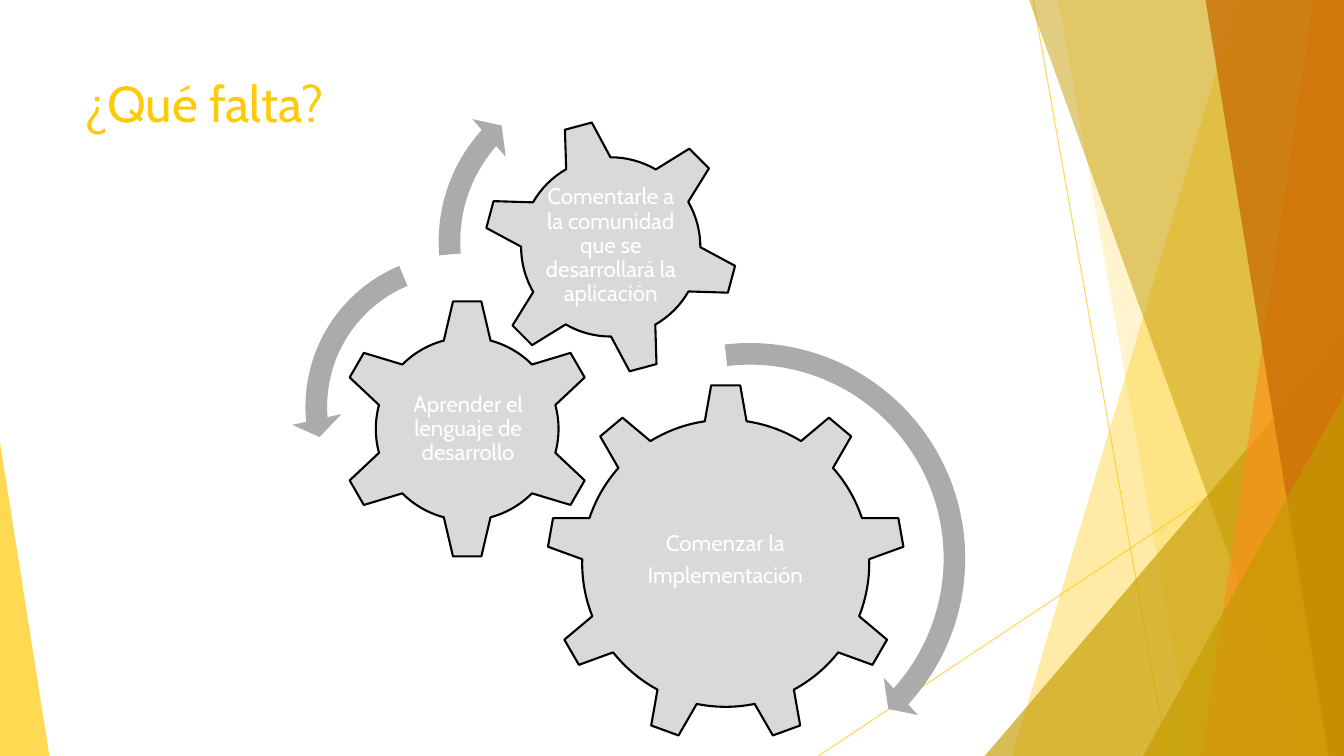
import pptx
import pptx.util
import pptx.dml.color
import pptx.enum.shapes
import pptx.enum.text
import pptx.oxml
import pptx.oxml.ns
from dataclasses import dataclass

Pt = pptx.util.Pt
SHAPE = pptx.enum.shapes.MSO_SHAPE
ANCHOR = pptx.enum.text.MSO_ANCHOR
ALIGN = pptx.enum.text.PP_ALIGN


@dataclass(frozen=True)
class Theme:
    gold: str = "FFCA08"
    olive: str = "C59B00"
    orange: str = "F8931D"
    rust: str = "CA6F06"
    gear: str = "D9D9D9"
    arrow: str = "ABABAB"
    outline: str = "000000"
    label: str = "FFFFFF"
    font: str = "Cabin"
    title_size: int = 36
    label_size: int = 16


@dataclass(frozen=True)
class Box:
    left: float
    top: float
    width: float
    height: float

    def points(self):
        return Pt(self.left), Pt(self.top), Pt(self.width), Pt(self.height)

    def square(self, x, y, size):
        return self.centred(x, y, size, size)

    def centred(self, x, y, width, height):
        return Box(self.left + x - width / 2, self.top + y - height / 2, width, height)


THEME = Theme()


def paint(color_format, color, opacity=100):
    color_format.rgb = pptx.dml.color.RGBColor.from_string(color)
    if opacity < 100:
        for node in color_format._xFill.iter(pptx.oxml.ns.qn("a:srgbClr")):
            alpha = pptx.oxml.parse_xml("<a:alpha %s/>" % pptx.oxml.ns.nsdecls("a"))
            alpha.set("val", str(opacity * 1000))
            node.append(alpha)


def style(shape, color, opacity=100, outline=None):
    shape.shadow.inherit = False
    shape.fill.solid()
    paint(shape.fill.fore_color, color, opacity)
    if outline:
        paint(shape.line.color, outline)
        shape.line.width = Pt(1.5)
    else:
        shape.line.fill.background()


def add_preset(slide, preset, box, color, opacity=100, outline=None, adjustments=()):
    shape = slide.shapes.add_shape(preset, *box.points())
    for index, value in enumerate(adjustments):
        shape.adjustments[index] = value
    style(shape, color, opacity, outline)
    return shape


def write(frame, text, size, color, align=ALIGN.LEFT, anchor=ANCHOR.TOP,
          inset=None, line_spacing=None, space_after=None):
    frame.word_wrap = True
    frame.auto_size = pptx.enum.text.MSO_AUTO_SIZE.NONE
    frame.vertical_anchor = anchor
    if inset is not None:
        frame.margin_left = frame.margin_right = Pt(inset)
        frame.margin_top = frame.margin_bottom = Pt(inset)
    frame.text = text
    for paragraph in frame.paragraphs:
        paragraph.alignment = align
        paragraph.line_spacing = line_spacing
        if space_after is not None:
            paragraph.space_after = Pt(space_after)
        for run in paragraph.runs:
            run.font.name = THEME.font
            run.font.size = Pt(size)
            run.font.color.rgb = pptx.dml.color.RGBColor.from_string(color)


def add_ray(slide, box, x1, y1, x2, y2):
    ray = slide.shapes.add_connector(
        pptx.enum.shapes.MSO_CONNECTOR.STRAIGHT,
        Pt(box.left + x1), Pt(box.top + y1), Pt(box.left + x2), Pt(box.top + y2))
    ray.line.width = Pt(0.75)
    ray.line.fill.solid()
    paint(ray.line.fill.fore_color, THEME.gold, 70)
    ray._element.spPr.append(
        pptx.oxml.parse_xml("<a:effectLst %s/>" % pptx.oxml.ns.nsdecls("a")))


def add_facet(slide, box, top_x, bottom_x, color, opacity):
    right, bottom = box.left + box.width, box.top + box.height
    builder = slide.shapes.build_freeform(Pt(box.left + top_x), Pt(box.top))
    builder.add_line_segments([
        (Pt(right), Pt(box.top)), (Pt(right), Pt(bottom)),
        (Pt(box.left + bottom_x), Pt(bottom))])
    style(builder.convert_to_shape(), color, opacity)


def add_corner(slide, box, x, y):
    corner = Box(box.left + x, box.top + y, box.width - x, box.height - y)
    add_preset(slide, SHAPE.ISOSCELES_TRIANGLE, corner, THEME.olive, 66, adjustments=[1])


def add_facets(slide, box):
    add_ray(slide, box, 158, 0, 253.8, 540)
    add_ray(slide, box, 380, 290, 4.6, 540)
    add_facet(slide, box, 304.2, 142.9, THEME.gold, 36)
    add_facet(slide, box, 176, 271.8, THEME.gold, 20)
    add_corner(slide, box, 123.4, 239.8)
    add_facet(slide, box, 155.1, 349.5, THEME.olive, 50)
    add_facet(slide, box, 358.2, 278.2, THEME.orange, 70)
    add_facet(slide, box, 281.1, 369, THEME.rust, 80)
    add_corner(slide, box, 236.5, 283)


def add_left_wedge(slide, box):
    add_preset(slide, SHAPE.ISOSCELES_TRIANGLE, box, THEME.gold, 70, adjustments=[0])


def add_title(slide, box):
    title = slide.shapes.title
    title.left, title.top, title.width, title.height = box.points()
    write(title.text_frame, "¿Qué falta?", THEME.title_size, THEME.gold)


def add_gear(slide, preset, gear_box, label_box, text, rotation=0):
    gear = add_preset(slide, preset, gear_box, THEME.gear, outline=THEME.outline)
    gear.rotation = rotation
    label = slide.shapes.add_textbox(*label_box.points())
    write(label.text_frame, text, THEME.label_size, THEME.label, align=ALIGN.CENTER,
          anchor=ANCHOR.MIDDLE, inset=1.5, line_spacing=0.9, space_after=5.6)


def add_gear_train(slide, box):
    add_gear(slide, SHAPE.GEAR_9, box.square(318.4, 362.4, 256.3),
             box.centred(318.1, 360, 153.4, 131.8), "Comenzar la\nImplementación")
    add_gear(slide, SHAPE.GEAR_6, box.square(133.7, 266.4, 186.5),
             box.square(134.4, 266.7, 92.5), "Aprender el lenguaje de desarrollo")
    add_gear(slide, SHAPE.GEAR_6, box.square(236.3, 136.4, 182.9),
             box.square(236.3, 135.7, 102.2),
             "Comentarle a la comunidad que se desarrollará la aplicación", rotation=345)
    turns = [
        (SHAPE.CIRCULAR_ARROW, (335.7, 358.9, 328.3), (0.047, 2.99, 25.462, 157.979, 0.055)),
        (SHAPE.LEFT_CIRCULAR_ARROW, (127.2, 250.5, 238.3), (0.065, 4.3, 104.891, 148.378, 0.075)),
        (SHAPE.CIRCULAR_ARROW, (231.6, 132.4, 257), (0.06, 3.941, 133.138, 105.082, 0.07)),
    ]
    for preset, place, adjustments in turns:
        add_preset(slide, preset, box.square(*place), THEME.arrow, adjustments=adjustments)


def main():
    deck = pptx.Presentation()
    deck.slide_width, deck.slide_height = Pt(960), Pt(540)
    slide = deck.slides.add_slide(deck.slide_layouts.get_by_name("Title Only"))
    add_facets(slide, Box(580, 0, 380, 540))
    add_left_wedge(slide, Box(0, 316, 35.3, 224))
    add_title(slide, Box(53.3, 48, 676.8, 104))
    add_gear_train(slide, Box(200, 40, 500, 500))
    deck.save("out.pptx")


if __name__ == "__main__":
    main()
